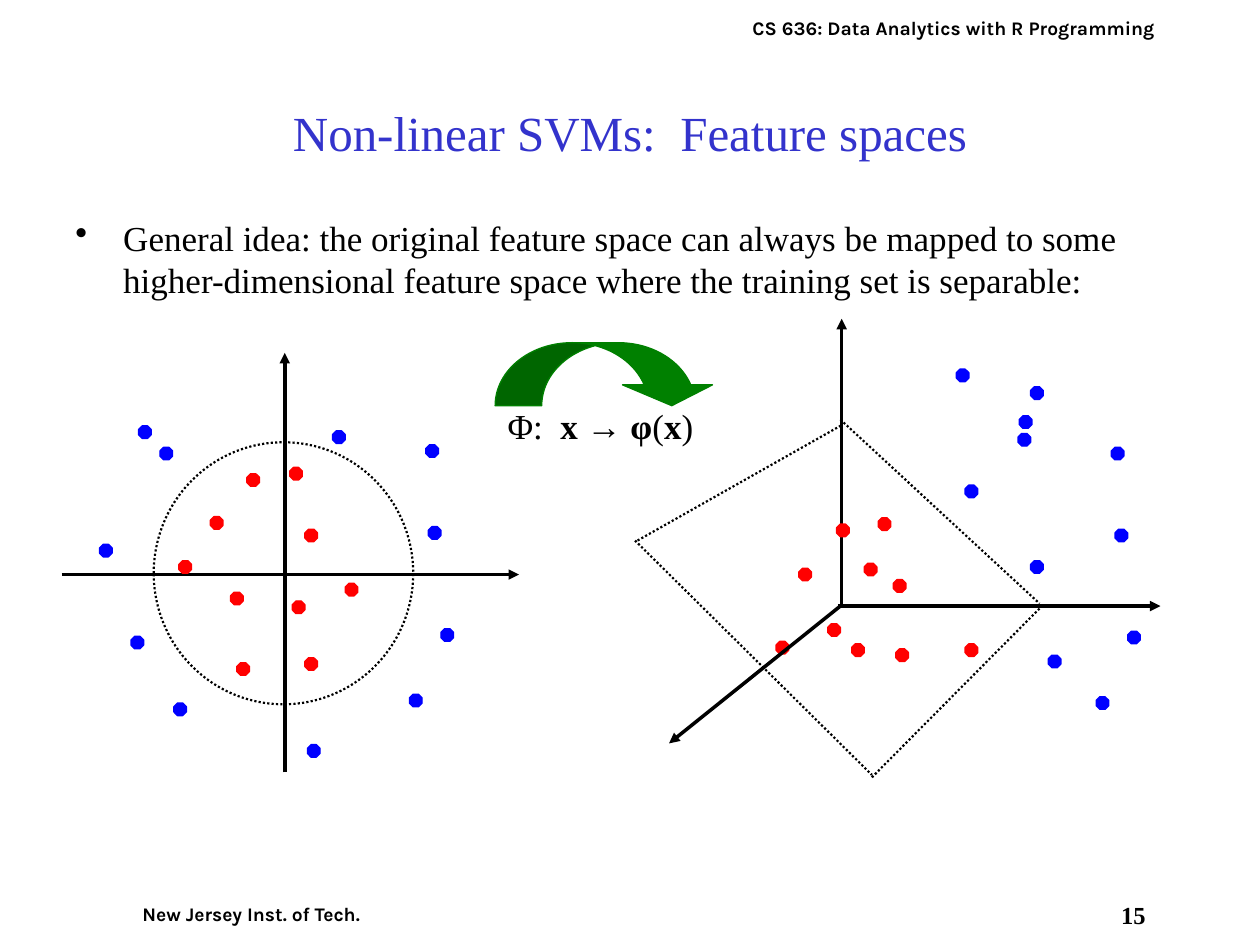
from pptx import Presentation
from pptx.dml.color import RGBColor
from pptx.enum.dml import MSO_LINE
from pptx.enum.shapes import MSO_CONNECTOR, MSO_SHAPE
from pptx.enum.text import MSO_ANCHOR, PP_ALIGN
from pptx.oxml.ns import qn
from pptx.util import Inches, Pt
from lxml import etree

LEFT, CENTER = PP_ALIGN.LEFT, PP_ALIGN.CENTER
TOP, MIDDLE = MSO_ANCHOR.TOP, MSO_ANCHOR.MIDDLE
STRAIGHT = MSO_CONNECTOR.STRAIGHT
OCTAGON, OVAL, CURVED_ARROW = MSO_SHAPE.OCTAGON, MSO_SHAPE.OVAL, MSO_SHAPE.CURVED_DOWN_ARROW
DOTTED = MSO_LINE.ROUND_DOT
SERIF, SANS = "Times New Roman", "Karla"
BLACK, RED, BLUE, GREEN, TITLE_BLUE = "000000", "FF0000", "0000FF", "008000", "3333CC"
DOT_SIZE = 0.1

color = RGBColor.from_string

presentation = Presentation()
presentation.slide_width, presentation.slide_height = Inches(10), Inches(7.5)
slide = presentation.slides.add_slide(presentation.slide_layouts[6])


def add_text(runs, left, top, width, height, size=20, font=SERIF, font_color=BLACK,
             align=LEFT, anchor=TOP, margins=(0.1, 0.05), bullet=None):
    """Add a one-paragraph text box; runs is a list of (text, bold) pairs."""
    box = slide.shapes.add_textbox(Inches(left), Inches(top), Inches(width), Inches(height))
    frame = box.text_frame
    frame.word_wrap = True
    frame.vertical_anchor = anchor
    frame.margin_left = frame.margin_right = Inches(margins[0])
    frame.margin_top = frame.margin_bottom = Inches(margins[1])
    paragraph = frame.paragraphs[0]
    paragraph.alignment = align
    if bullet:
        properties = paragraph._p.get_or_add_pPr()
        properties.set("marL", str(Inches(0.38)))
        properties.set("indent", str(Inches(-0.38)))
        etree.SubElement(properties, qn("a:buChar")).set("char", bullet)
    for text, bold in runs:
        run = paragraph.add_run()
        run.text = text
        run.font.name, run.font.size, run.font.bold = font, Pt(size), bold
        run.font.color.rgb = color(font_color)


def add_line(start, end, width, arrow=False):
    """Add a solid arrow or a dotted line between two points."""
    line = slide.shapes.add_connector(STRAIGHT, *map(Inches, start + end))
    line.line.color.rgb = color(BLACK)
    line.line.width = Pt(width)
    if arrow:
        etree.SubElement(line.line._get_or_add_ln(), qn("a:tailEnd")).set("type", "triangle")
    else:
        line.line.dash_style = DOTTED
    etree.SubElement(line._element.spPr, qn("a:effectLst"))


# Header, footer and page number
add_text([("CS 636: Data Analytics with R Programming", True)], 5.78, 0.08, 3.58, 0.29,
         size=11, font=SANS, align=CENTER, margins=(0.05, 0.05))
add_text([("New Jersey Inst. of Tech.", True)], 0.83, 7.11, 2.33, 0.29,
         size=11, font=SANS, align=CENTER, margins=(0.05, 0.05))
add_text([("15", True)], 8.83, 7.14, 0.33, 0.36, size=14, align=CENTER, margins=(0, 0))

# Title and main point
add_text([("Non-linear SVMs:  Feature spaces", False)], 0.75, 0.42, 8.5, 1.25,
         size=28, font_color=TITLE_BLUE, align=CENTER, anchor=MIDDLE)
add_text([("General idea: the original feature space can always be mapped to some "
           "higher-dimensional feature space where the training set is separable:", False)],
         0.5, 1.67, 9, 1, bullet="•")

# Axes of both spaces
for start, end in [
    ((2.26, 6.13), (2.26, 2.8)),
    ((0.49, 4.56), (4.12, 4.56)),
    ((6.68, 4.79), (6.68, 2.53)),
    ((6.65, 4.81), (9.21, 4.81)),
]:
    add_line(start, end, 2, arrow=True)

# Circular class boundary in the original space
boundary = slide.shapes.add_shape(OVAL, Inches(1.22), Inches(3.51), Inches(2.06), Inches(2.08))
boundary.shadow.inherit = False
boundary.fill.background()
boundary.line.color.rgb = color(BLACK)
boundary.line.width = Pt(1.25)
boundary.line.dash_style = DOTTED

# Training points as (left, top): original space first, then mapped space
points = {
    RED: [
        (2.3, 3.71), (1.67, 4.1), (1.83, 4.7), (2.42, 5.22), (1.96, 3.76),
        (1.42, 4.45), (1.88, 5.26), (2.42, 4.2), (2.74, 4.63), (2.32, 4.77),
        (6.97, 4.11), (6.34, 4.51), (6.76, 5.11), (7.66, 5.11), (6.64, 4.16),
        (6.86, 4.47), (7.11, 5.15), (7.09, 4.6), (6.57, 4.95), (6.16, 5.09),
    ],
    BLUE: [
        (3.4, 4.18), (3.25, 5.51), (0.79, 4.32), (2.44, 5.91), (3.5, 4.99), (1.38, 5.58),
        (1.04, 5.05), (1.1, 3.38), (2.64, 3.42), (1.27, 3.55), (3.38, 3.53),
        (8.85, 4.2), (8.7, 5.53), (8.18, 3.07), (8.18, 4.45), (8.95, 5.01), (7.66, 3.85),
        (8.32, 5.2), (8.09, 3.3), (8.08, 3.44), (7.59, 2.93), (8.82, 3.55),
    ],
}
for dot_color, positions in points.items():
    for left, top in positions:
        dot = slide.shapes.add_shape(OCTAGON, Inches(left), Inches(top),
                                     Inches(DOT_SIZE), Inches(DOT_SIZE))
        dot.shadow.inherit = False
        dot.fill.solid()
        dot.fill.fore_color.rgb = color(dot_color)
        dot.line.color.rgb = color(dot_color)
        dot.line.width = Pt(0.75)

# Third axis, in front of the points
add_line((6.67, 4.81), (5.31, 5.9), 2, arrow=True)

# Separating plane
for start, end in [
    ((6.67, 3.33), (8.25, 4.79)),
    ((6.92, 6.17), (8.25, 4.83)),
    ((5.06, 4.29), (6.67, 3.38)),
    ((5.04, 4.29), (6.92, 6.15)),
]:
    add_line(start, end, 1.25)

# Mapping arrow and its formula
mapping = slide.shapes.add_shape(CURVED_ARROW, Inches(3.93), Inches(2.72),
                                 Inches(1.76), Inches(0.5))
mapping.shadow.inherit = False
for index, value in enumerate((0.74, 1.43, 0.33)):
    mapping.adjustments[index] = value
mapping.fill.solid()
mapping.fill.fore_color.rgb = color(GREEN)
mapping.line.color.rgb = color(GREEN)
mapping.line.width = Pt(0.75)
add_text([("Φ:  ", False), ("x → φ", True), ("(", False), ("x", True), (")", False)],
         3.93, 3.16, 1.84, 0.48)

presentation.save("out.pptx")
